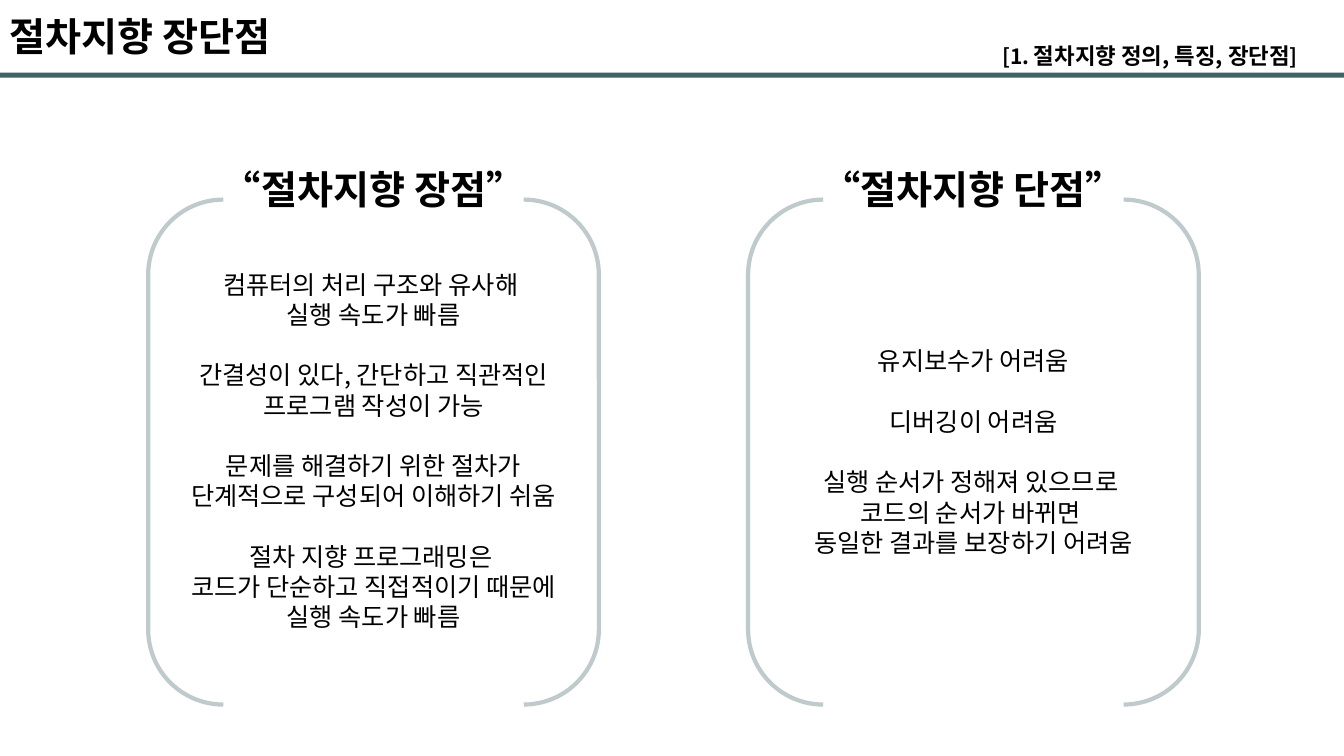
import pptx
import pptx.util
import pptx.dml.color
import pptx.enum.shapes
import pptx.enum.text
import pptx.oxml
import pptx.oxml.ns

FONT = "Noto Sans CJK KR"
BLACK, TEAL = "000000", "1C4148"
LINE_RATIO = 1.2

TITLE = "절차지향 장단점"
CHAPTER = [("[1. ", 15), ("절차지향 정의, 특징, 장단점", 16), ("]", 15)]
COLUMNS = [
    ("“절차지향 장점”", 2.62, 4.04, [
        ["컴퓨터의 처리 구조와 유사해 ", "실행 속도가 빠름"],
        ["간결성이 있다, 간단하고 직관적인 프로그램 작성이 가능"],
        ["문제를 해결하기 위한 절차가 단계적으로 구성되어 이해하기 쉬움"],
        ["절차 지향 프로그래밍은 ", "코드가 단순하고 직접적이기 때문에 실행 속도가 빠름"],
    ]),
    ("“절차지향 단점”", 3.38, 2.22, [
        ["유지보수가 어려움"],
        ["디버깅이 어려움"],
        ["실행 순서가 정해져 있으므로 ", "코드의 순서가 바뀌면 ", "동일한 결과를 보장하기 어려움"],
    ]),
]

WIDTH, HEIGHT = 13.33, 7.5
COLUMN_LEFT, COLUMN_STEP, COLUMN_WIDTH = 1.47, 5.95, 4.47
HEADING_WIDTH, BODY_WIDTH = 3.83, 4

Inches, Pt = pptx.util.Inches, pptx.util.Pt
deck = pptx.Presentation()
deck.slide_width, deck.slide_height = Inches(WIDTH), Inches(HEIGHT)
page = deck.slides.add_slide(deck.slide_layouts[6])


def color(value):
    return pptx.dml.color.RGBColor.from_string(value)


def add_child(parent, tag, **attributes):
    child = pptx.oxml.parse_xml(f"<{tag} {pptx.oxml.ns.nsdecls('a')}/>")
    for name, value in attributes.items():
        child.set(name, value)
    parent.append(child)


def paint(fill, value, opacity):
    fill.solid()
    fill.fore_color.rgb = color(value)


def add_preset(kind, left, top, width, height):
    shape = page.shapes.add_shape(kind, *map(Inches, (left, top, width, height)))
    shape.shadow.inherit = False
    return shape


def tint(fill, shape, opacity):
    fill.solid()
    fill.fore_color.rgb = color(TEAL)
    for node in shape.element.spPr.iter(pptx.oxml.ns.qn("a:srgbClr")):
        add_child(node, "a:alpha", val=str(opacity * 1000))


def add_text(left, top, width, height, lines, bold=True, centered=False):
    box = page.shapes.add_textbox(*map(Inches, (left, top, width, height)))
    frame = box.text_frame
    frame.word_wrap = True
    for index, (spans, gap) in enumerate(lines):
        para = frame.paragraphs[0] if index == 0 else frame.add_paragraph()
        if centered:
            para.alignment = pptx.enum.text.PP_ALIGN.CENTER
        para.line_spacing = Pt(LINE_RATIO * max(size for _, size in spans))
        para.space_before = Pt(gap)
        for text, size in spans:
            span = para.add_run()
            span.text = text
            span.font.name, span.font.size, span.font.bold = FONT, Pt(size), bold
            span.font.color.rgb = color(BLACK)
            add_child(span.font._element, "a:ea", typeface=FONT)


SHAPES = pptx.enum.shapes.MSO_SHAPE
rule = add_preset(SHAPES.RECTANGLE, 0, 0.72, WIDTH, 0.05)
tint(rule.fill, rule, 83)
rule.line.fill.background()
add_text(0, 0.07, 3.09, 0.57, [([(TITLE, 28)], 0)])
add_text(9.84, 0.37, 3.49, 0.37, [(CHAPTER, 0)])

for number, (heading, body_top, body_height, groups) in enumerate(COLUMNS):
    left = COLUMN_LEFT + number * COLUMN_STEP
    center = left + COLUMN_WIDTH / 2
    bracket = add_preset(SHAPES.DOUBLE_BRACKET, left, 1.98, COLUMN_WIDTH, 5.01)
    bracket.fill.background()
    bracket.line.width = Pt(3)
    tint(bracket.line.fill, bracket, 28)
    add_text(center - HEADING_WIDTH / 2, 1.59, HEADING_WIDTH, 0.57,
             [([(heading, 28)], 0)], centered=True)
    lines = [([(line, 18)], 18 * LINE_RATIO if group > 0 and row == 0 else 0)
             for group, texts in enumerate(groups) for row, line in enumerate(texts)]
    add_text(center - BODY_WIDTH / 2, body_top, BODY_WIDTH, body_height, lines,
             bold=False, centered=True)

deck.save("out.pptx")
